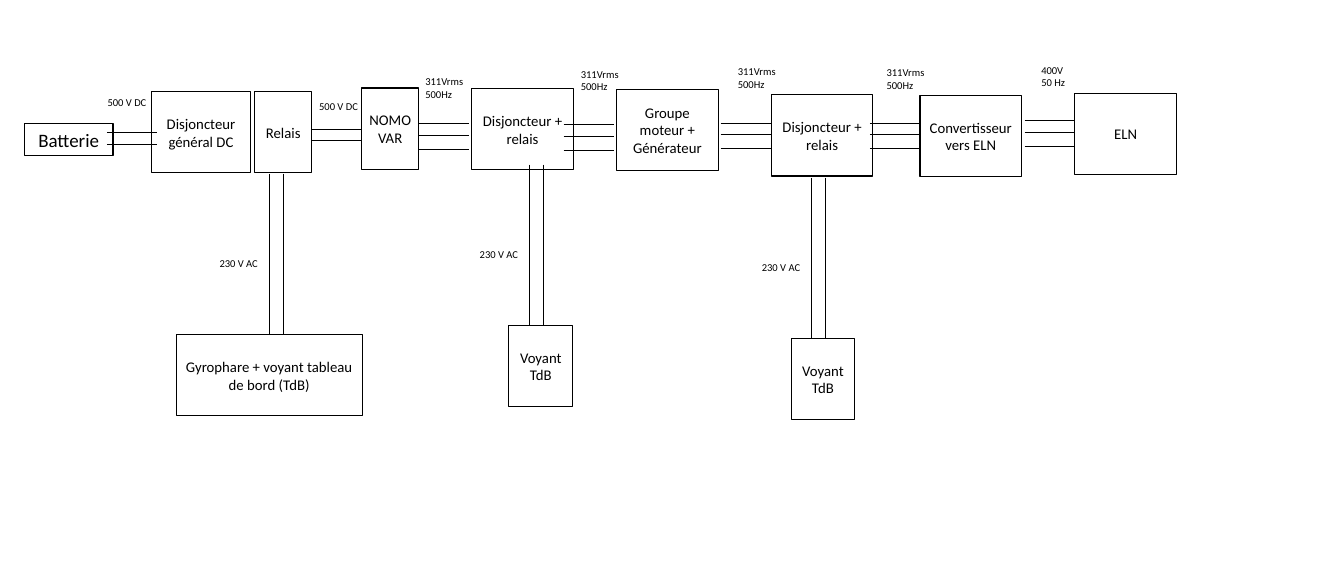
from pptx import Presentation
from pptx import util as u
from pptx.dml.color import RGBColor
from pptx.enum import shapes, text
from pptx.oxml.ns import qn
from lxml import etree

# All lengths are percentages of the slide's width or height
WIDTH, HEIGHT = u.Inches(17.72), u.Inches(7.5)
BOX_HEIGHT = 14.27
WIRE_LENGTH = 3.75
LABEL_WIDTH, LINE_HEIGHT = 4.74, 3.2
WIRE_SHARES = {2: (0, 2), 3: (0, 2, 4.53)}
BRANCH_LENGTH, BRANCH_GAP = 28.3, 1.02


def colour(code):
    return RGBColor.from_string(code)


def across(share):
    return round(WIDTH * share / 100)


def down(share):
    return round(HEIGHT * share / 100)


def place(box):
    left, top, width, height = box
    return across(left), down(top), across(width), down(height)


def write(frame, lines, size, align):
    frame.word_wrap = True
    for index, words in enumerate(lines):
        para = frame.paragraphs[0] if index == 0 else frame.add_paragraph()
        para.alignment = align
        span = para.add_run()
        span.text = words
        span.font.name = "Calibri"
        span.font.size = u.Pt(size)
        span.font.color.rgb = colour("000000")


def add_block(page, box, words, size=14):
    block = page.shapes.add_shape(shapes.MSO_SHAPE.RECTANGLE, *place(box))
    block.shadow.inherit = False
    block.fill.solid()
    block.fill.fore_color.rgb = colour("FFFFFF")
    block.line.color.rgb = colour("000000")
    block.line.width = u.Pt(1)
    block.text_frame.vertical_anchor = text.MSO_ANCHOR.MIDDLE
    write(block.text_frame, [words], size, text.PP_ALIGN.CENTER)


def add_label(page, left, top, lines):
    box = left, top, LABEL_WIDTH, LINE_HEIGHT * len(lines)
    label = page.shapes.add_textbox(*place(box))
    write(label.text_frame, lines, 10, text.PP_ALIGN.LEFT)


def add_wire(page, left, top, width=0, height=0):
    wire = page.shapes.add_connector(
        shapes.MSO_CONNECTOR.STRAIGHT, across(left), down(top),
        across(left + width), down(top + height))
    wire.line.color.rgb = colour("000000")
    wire.line.width = u.Pt(0.5)
    etree.SubElement(wire._element.spPr, qn("a:effectLst"))


def add_link(page, left, top, count, label_shift, label_rise, lines):
    """Parallel wires between two stages, with their voltage above."""
    for shift in WIRE_SHARES[count]:
        add_wire(page, left, top + shift, width=WIRE_LENGTH)
    add_label(page, left + label_shift, top - label_rise, lines)


def add_branch(page, left, top, width, words):
    """Two wires down to a signal lamp, with their voltage beside them."""
    for shift in (0, BRANCH_GAP):
        add_wire(page, left + shift, top, height=BRANCH_LENGTH)
    add_label(page, left - 4.25, top + 14, ["230 V AC"])
    centre = left + 0.85 if width < 5 else left
    add_block(page, (centre - width / 2, top + BRANCH_LENGTH,
                     width, BOX_HEIGHT), words)


deck = Presentation()
deck.slide_width, deck.slide_height = WIDTH, HEIGHT
page = deck.slides.add_slide(deck.slide_layouts[6])

# Power chain: left, top, width, words
add_block(page, (1.81, 21.73, 6.6, 5.6), "Batterie", 18)
stages = [
    (11.29, 16.13, 7.34, "Disjoncteur général DC"),
    (18.96, 16.13, 4.23, "Relais"),
    (26.92, 15.47, 4.23, "NOMOVAR"),
    (35.1, 15.6, 7.56, "Disjoncteur + relais"),
    (45.88, 15.73, 7.56, "Groupe moteur + Générateur"),
    (57.39, 16.67, 7.56, "Disjoncteur + relais"),
    (68.45, 16.8, 7.56, "Convertisseur vers ELN"),
    (79.97, 16.4, 7.56, "ELN"),
]
for left, top, width, words in stages:
    add_block(page, (left, top, width, BOX_HEIGHT), words)

# Links: left, top, wire count, label shift, label rise, label lines
direct, motor, grid = ["500 V DC"], ["311Vrms", "500Hz"], ["400V", "50 Hz"]
links = [
    (7.96, 23.33, 2, -0.51, 7.2, direct),
    (23.19, 22.67, 2, 0, 5.73, direct),
    (31.15, 21.73, 3, -0.06, 9.2, motor),
    (41.93, 21.87, 3, 0.73, 10.67, motor),
    (53.61, 21.6, 3, 0.73, 10.8, motor),
    (64.73, 21.6, 3, 0.68, 10.67, motor),
    (76.24, 21.2, 3, 0.68, 10.67, grid),
]
for link in links:
    add_link(page, *link)

# Signal branches: left, top, lamp width, words
branches = [
    (20.03, 30.53, 13.83, "Gyrophare + voyant tableau de bord (TdB)"),
    (39.39, 28.93, 4.74, "Voyant TdB"),
    (60.38, 31.2, 4.74, "Voyant TdB"),
]
for branch in branches:
    add_branch(page, *branch)

deck.save("out.pptx")
